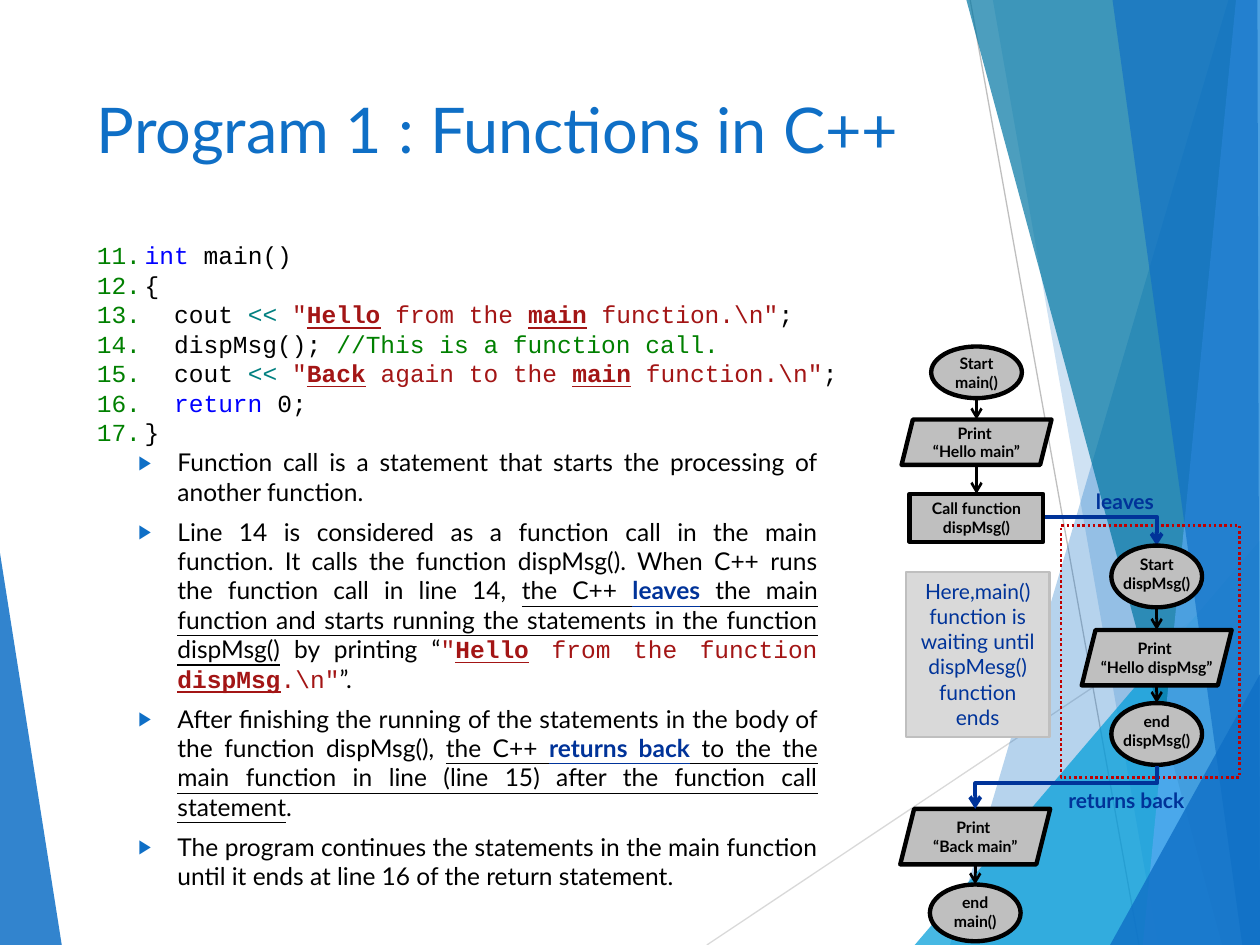
from dataclasses import dataclass
from typing import Optional

from lxml.etree import SubElement
from pptx import Presentation
from pptx.dml.color import RGBColor
from pptx.enum.dml import MSO_LINE
from pptx.enum.shapes import MSO_CONNECTOR, MSO_SHAPE
from pptx.enum.text import MSO_ANCHOR, PP_ALIGN
from pptx.oxml.ns import qn
from pptx.util import Inches, Pt

# The page is a grid of 100 columns by 75 rows
COLUMNS, ROWS = 100, 75
BLUE, NAVY, BLACK, GREY = "0F6FC6", "003399", "000000", "BFBFBF"
GREEN, TEAL, RED, KEYWORD = "008000", "008080", "A31515", "0000FF"
SANS, MONO = "Lato", "Courier New"


@dataclass
class Span:
    text: str
    color: str = BLACK
    bold: bool = False
    underline: bool = False
    font: str = SANS
    size: float = 14


@dataclass
class Facet:
    color: str
    opacity: int
    points: list


@dataclass
class Node:
    kind: MSO_SHAPE
    center: float
    top: float
    width: float
    height: float
    lines: tuple


@dataclass
class Link:
    start: tuple
    end: tuple
    color: str = BLACK
    weight: float = 1.5
    arrow: bool = True


def grid(value: float) -> int:
    return Inches(value / 10)


def rgb(value: str) -> RGBColor:
    return RGBColor.from_string(value)


def mono(text: str, color: str = BLACK, strong: bool = False) -> Span:
    return Span(text, color, strong, strong, MONO)


def quoted(*words: str) -> list:
    """String literal in which every second part is emphasised."""
    return [mono(word, RED, index % 2 == 1) for index, word in enumerate(words)]


def add_spans(para, spans: list) -> None:
    for span in spans:
        run = para.add_run()
        run.text = span.text
        run.font.name, run.font.size = span.font, Pt(span.size)
        run.font.bold, run.font.underline = span.bold, span.underline
        run.font.color.rgb = rgb(span.color)


def add_text(page, left: float, top: float, width: float, height: float,
             spans: list, wrap: bool = True):
    box = page.shapes.add_textbox(*map(grid, (left, top, width, height)))
    box.text_frame.word_wrap = wrap
    add_spans(box.text_frame.paragraphs[0], spans)
    return box


def add_list(page, area: tuple, items: list, margin: float, indent: float,
             marker: tuple, color: str, font: str, percent: int) -> list:
    frame = add_text(page, *area, items[0]).text_frame
    for spans in items[1:]:
        add_spans(frame.add_paragraph(), spans)
    for para in frame.paragraphs:
        properties = para._p.get_or_add_pPr()
        properties.set("marL", str(grid(margin)))
        properties.set("indent", str(-grid(indent)))
        SubElement(SubElement(properties, qn("a:buClr")), qn("a:srgbClr"), val=color)
        SubElement(properties, qn("a:buSzPct"), val=str(percent * 1000))
        SubElement(properties, qn("a:buFont"), typeface=font)
        tag, attributes = marker
        SubElement(properties, qn(tag), **attributes)
    return list(frame.paragraphs)


def add_facet(page, facet: Facet) -> None:
    corners = [(grid(x), grid(y)) for x, y in facet.points]
    builder = page.shapes.build_freeform(*corners[0])
    builder.add_line_segments(corners[1:], close=True)
    shape = builder.convert_to_shape()
    shape.shadow.inherit = False
    shape.fill.solid()
    shape.fill.fore_color.rgb = rgb(facet.color)
    shape.line.fill.background()
    color = shape._element.spPr.find(".//" + qn("a:srgbClr"))
    SubElement(color, qn("a:alpha"), val=str(facet.opacity * 1000))


def add_box(page, kind: MSO_SHAPE, area: tuple, fill: Optional[str],
            line: str, weight: float):
    shape = page.shapes.add_shape(kind, *map(grid, area))
    shape.shadow.inherit = False
    if fill:
        shape.fill.solid()
        shape.fill.fore_color.rgb = rgb(fill)
    else:
        shape.fill.background()
    shape.line.color.rgb, shape.line.width = rgb(line), Pt(weight)
    shape.text_frame.vertical_anchor = MSO_ANCHOR.TOP
    shape.text_frame.paragraphs[0].alignment = PP_ALIGN.CENTER
    return shape


def add_node(page, node: Node) -> None:
    area = (node.center - node.width / 2, node.top, node.width, node.height)
    frame = add_box(page, node.kind, area, GREY, BLACK, 2.5).text_frame
    frame.word_wrap = False
    if node.kind == MSO_SHAPE.OVAL:
        frame.margin_top = 0
    else:
        frame.vertical_anchor = MSO_ANCHOR.MIDDLE
    for index, line in enumerate(node.lines):
        para = frame.add_paragraph() if index else frame.paragraphs[0]
        para.alignment = PP_ALIGN.CENTER
        add_spans(para, [Span(line, bold=True, size=9)])


def add_link(page, link: Link, kind: MSO_CONNECTOR = MSO_CONNECTOR.STRAIGHT):
    connector = page.shapes.add_connector(kind, *map(grid, link.start + link.end))
    connector.line.color.rgb = rgb(link.color)
    connector.line.width = Pt(link.weight)
    properties = connector._element.spPr
    if link.arrow:
        SubElement(properties.find(qn("a:ln")), qn("a:tailEnd"), type="arrow")
    SubElement(properties, qn("a:effectLst"))
    return properties


LEFT_FACET = Facet(BLUE, 85, [(0, 43.9), (4.9, ROWS), (0, ROWS)])
RIGHT_FACETS = [
    Facet(BLUE, 30, [(97.5, 0), (75.4, ROWS), (COLUMNS, ROWS), (COLUMNS, 0)]),
    Facet(BLUE, 20, [(78.8, 0), (91.9, ROWS), (COLUMNS, ROWS), (COLUMNS, 0)]),
    Facet("009DD9", 72, [(72.6, ROWS), (COLUMNS, 42.9), (COLUMNS, ROWS)]),
    Facet("0076A3", 70, [(76.7, 0), (97, ROWS), (COLUMNS, ROWS), (COLUMNS, 0)]),
    Facet("59AAF2", 70, [(98.1, 0), (90.7, ROWS), (COLUMNS, ROWS), (COLUMNS, 0)]),
    Facet(BLUE, 65, [(88.3, 0), (98.6, ROWS), (COLUMNS, ROWS), (99.8, 0)]),
    Facet(BLUE, 80, [(88.1, ROWS), (COLUMNS, 53.5), (COLUMNS, ROWS)]),
]
CODE = [
    [mono("int", KEYWORD), mono(" main()")],
    [mono("{")],
    [mono("  cout "), mono("<< ", TEAL),
     *quoted('"', "Hello", " from the ", "main", ' function.\\n"'), mono(";")],
    [mono("  dispMsg(); "), mono("//This is a function call.", GREEN)],
    [mono("  cout "), mono("<< ", TEAL),
     *quoted('"', "Back", " again to the ", "main", ' function.\\n"'), mono(";")],
    [mono("  return", KEYWORD), mono(" 0;")],
    [mono("}")],
]
NOTES = [
    [Span("Function call is a statement that starts the processing of another function.")],
    [Span("Line 14 is considered as a function call in the main function. It calls the "
          "function dispMsg(). When C++ runs the function call in line 14, "),
     Span("the C++ ", underline=True), Span("leaves", NAVY, True, True),
     Span(" the main function and starts running the statements in the function "
          "dispMsg()", underline=True),
     Span(" by printing “"),
     *quoted('"', "Hello", " from the function ", "dispMsg", '.\\n"'), Span("”.")],
    [Span("After finishing the running of the statements in the body of the function "
          "dispMsg(), "),
     Span("the C++ ", underline=True), Span("returns back", NAVY, True, True),
     Span(" to the the main function in line (line 15) after the function call "
          "statement", underline=True), Span(".")],
    [Span("The program continues the statements in the main function until it ends at "
          "line 16 of the return statement.")],
]
OVAL, STEP, CALL = MSO_SHAPE.OVAL, MSO_SHAPE.PARALLELOGRAM, MSO_SHAPE.RECTANGLE
MAIN, CALLED = 77.5, 91.8  # centre columns of the two flows
NODES = [
    Node(OVAL, MAIN, 27.5, 7.2, 4.1, ("Start", "main()")),
    Node(STEP, MAIN, 33.3, 11.9, 3.6, ("Print ", "“Hello main”")),
    Node(CALL, MAIN, 39.2, 10.6, 3.8, ("Call function", "dispMsg()")),
    Node(OVAL, CALLED, 43.3, 7.2, 4.9, ("Start", "dispMsg()")),
    Node(STEP, CALLED, 50, 11.9, 4.4, ("Print ", "“Hello dispMsg”")),
    Node(OVAL, CALLED, 55.8, 7.2, 4.9, ("end", "dispMsg()")),
    Node(STEP, MAIN - 0.1, 64.2, 11.9, 4.4, ("Print ", "“Back main”")),
    Node(OVAL, MAIN - 0.1, 70.2, 7.2, 4.5, ("end", "main()")),
]


def main() -> None:
    deck = Presentation()
    deck.slide_width, deck.slide_height = grid(COLUMNS), grid(ROWS)
    page = deck.slides.add_slide(deck.slide_layouts[6])

    # Faceted background
    add_facet(page, LEFT_FACET)
    add_link(page, Link((56.1, ROWS), (COLUMNS, 45.7), "D9D9D9", 0.75, False))
    add_link(page, Link((77, 0), (90.4, ROWS), GREY, 0.75, False))
    for facet in RIGHT_FACETS:
        add_facet(page, facet)

    # Title, numbered code and explanation
    add_text(page, 6.7, 6.7, 73.3, 14.4,
             [Span("Program 1 : Functions in C++", BLUE, size=36)])
    numbering = ("a:buAutoNum", {"type": "arabicPeriod", "startAt": "11"})
    for para in add_list(page, (6.7, 18.6, 92.5, 17), CODE, 3.8, 3.8,
                         numbering, GREEN, MONO, 100):
        para.line_spacing = Pt(16.8)
    notes = add_list(page, (5, 35, 60.9, 36.7), NOTES, 8.1, 3.1,
                     ("a:buChar", {"char": "▶"}), BLUE, SANS, 80)
    for index, para in enumerate(notes):
        para.alignment = PP_ALIGN.JUSTIFY
        para.space_before = Pt(6 if index else 0)

    # Flow chart: arrows join neighbours that share a column
    frame = add_box(page, CALL, (84.2, 41.7, 14.2, 20), None, "C00000", 1.5)
    frame.line.dash_style = MSO_LINE.ROUND_DOT
    for upper, lower in zip(NODES, NODES[1:]):
        if upper.center == lower.center:
            add_link(page, Link((upper.center, upper.top + upper.height),
                                (lower.center, lower.top)))
    leaving = add_link(page, Link((82.8, 41), (CALLED, 43.3), NAVY, 2.25),
                       MSO_CONNECTOR.ELBOW)
    leaving.find(qn("a:prstGeom")).set("prst", "bentConnector2")
    for node in NODES:
        add_node(page, node)
    # The way back is an elbow turned by a quarter
    returning = add_link(page, Link((82.9, 55.3), (86.3, 69.7), NAVY, 2.25),
                         MSO_CONNECTOR.ELBOW)
    returning.find(qn("a:xfrm")).set("rot", str(90 * 60000))
    geometry = returning.find(qn("a:prstGeom"))
    guides = geometry.find(qn("a:avLst"))
    if guides is None:
        guides = SubElement(geometry, qn("a:avLst"))
    SubElement(guides, qn("a:gd"), name="adj1", fmla="val 40400")

    # Remarks
    remark = add_box(page, CALL, (71.9, 45.4, 11.4, 13.1), "D9D9D9", GREY, 1.5)
    remark.text_frame.word_wrap = True
    add_spans(remark.text_frame.paragraphs[0], [
        Span("Here,main() function is waiting until dispMesg() function ends", NAVY, size=12)])
    for label, left, top, width in (("returns back", 83.8, 62, 13.2),
                                    ("leaves", 86, 38.3, 7.4)):
        add_text(page, left, top, width, 3, [Span(label, NAVY, True, size=12)], False)

    deck.save("out.pptx")


if __name__ == "__main__":
    main()
